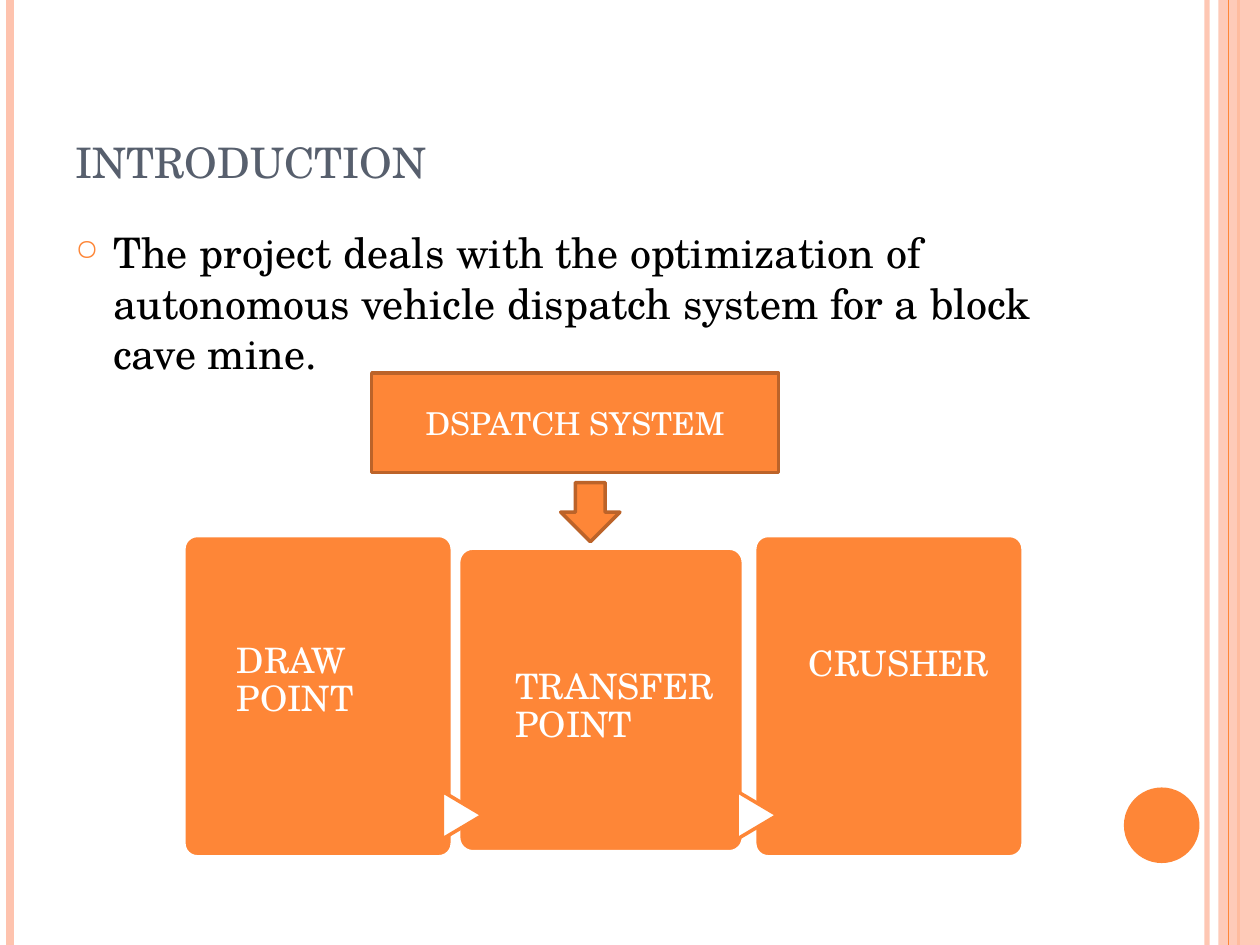
import pptx
import pptx.util
import pptx.dml.color
import pptx.enum.shapes
import pptx.enum.text
import pptx.oxml

Inches = pptx.util.Inches
Pt = pptx.util.Pt
SHAPES = pptx.enum.shapes.MSO_SHAPE
ANCHORS = pptx.enum.text.MSO_ANCHOR
ALIGNMENTS = pptx.enum.text.PP_ALIGN
NAMESPACE = 'xmlns:a="http://schemas.openxmlformats.org/drawingml/2006/main"'
FONT = "TeX Gyre Schola"
ORANGE, DARK_ORANGE, PEACH = "FE8637", "BC6329", "FEC3AE"
WHITE, BLACK, SLATE = "FFFFFF", "000000", "575F6D"


def color(value):
    return pptx.dml.color.RGBColor.from_string(value)


def element(markup):
    tag, separator, rest = markup.partition(" ")
    return pptx.oxml.parse_xml(f"<a:{tag} {NAMESPACE}{separator}{rest}/>")


def apply(target, values):
    for name, value in values.items():
        setattr(target, name, value)


def set_opacity(fill_parent, percent):
    for choice in fill_parent.iter("{*}srgbClr"):
        choice.append(element(f'alpha val="{percent * 1000}"'))


def add_shape(slide, kind, box, fill, line=None):
    shape = slide.shapes.add_shape(kind, *map(Inches, box))
    shape.shadow.inherit = False
    shape.fill.solid()
    shape.fill.fore_color.rgb = color(fill)
    if line:
        shape.line.color.rgb = color(line)
        shape.line.width = Pt(2)
    else:
        shape.line.fill.background()
    return shape


def add_rule(slide, x, height, line_color, width):
    rule = slide.shapes.add_connector(
        pptx.enum.shapes.MSO_CONNECTOR.STRAIGHT,
        Inches(x), 0, Inches(x), Inches(height))
    rule.line.color.rgb = color(line_color)
    rule.line.width = Pt(width)
    rule._element.spPr.append(element("effectLst"))
    return rule


def write(shape, text, size, text_color, frame_format=None, paragraph_format=None):
    frame = shape.text_frame
    apply(frame, {"word_wrap": True, **(frame_format or {})})
    paragraph = frame.paragraphs[0]
    run = paragraph.add_run()
    run.text = text
    apply(paragraph, paragraph_format or {})
    apply(run.font, {"name": FONT, "size": Pt(size)})
    run.font.color.rgb = color(text_color)
    return paragraph


def add_text(slide, box, *content):
    return write(slide.shapes.add_textbox(*map(Inches, box)), *content)


def add_frame(slide, box):
    left, top, width, height = box
    right = left + width
    outer_rule = add_rule(slide, right - 0.42, height, PEACH, 3)
    set_opacity(outer_rule._element.spPr, 93)
    add_rule(slide, left + 0.08, height, PEACH, 4.5)
    add_rule(slide, right - 0.17, height, ORANGE, 1.5)
    band = add_shape(slide, SHAPES.RECTANGLE, (right - 0.33, top, 0.33, height), PEACH)
    set_opacity(band._element.spPr, 87)
    add_rule(slide, right - 0.25, height, ORANGE, 0.75)
    add_shape(slide, SHAPES.OVAL, (right - 1.08, top + 6.25, 0.6, 0.6), ORANGE)


def add_title(slide, box):
    paragraph = add_text(slide, box, "introduction", 30, SLATE,
                         {"vertical_anchor": ANCHORS.BOTTOM})
    paragraph.runs[0].font._element.set("cap", "small")


def add_body(slide, box):
    paragraph = add_text(
        slide, box,
        "The project deals with the optimization of autonomous vehicle "
        "dispatch system for a block cave mine.", 24, BLACK)
    properties = paragraph._p.get_or_add_pPr()
    properties.set("marL", str(Inches(0.3)))
    properties.set("indent", str(-Inches(0.3)))
    bullet_color = element("buClr")
    bullet_color.append(element(f'srgbClr val="{ORANGE}"'))
    for item in (bullet_color, element('buSzPct val="70000"'),
                 element('buChar char="○"')):
        properties.append(item)


def add_dispatch(slide, box):
    left, top, width, height = box
    block = add_shape(slide, SHAPES.RECTANGLE, box, ORANGE, DARK_ORANGE)
    write(block, "DSPATCH SYSTEM", 18, WHITE,
          {"vertical_anchor": ANCHORS.MIDDLE}, {"alignment": ALIGNMENTS.CENTER})
    add_shape(slide, SHAPES.DOWN_ARROW, (left + 1.5, top + 0.87, 0.47, 0.47),
              ORANGE, DARK_ORANGE)


def add_stage(slide, box, label, text_left, text_width, text_inset):
    left, top, width, height = box
    card = add_shape(slide, SHAPES.ROUNDED_RECTANGLE, box, ORANGE, WHITE)
    card.adjustments[0] = 0.05
    add_text(slide, (left + text_left, top, text_width, height), label, 20, WHITE,
             {"margin_left": 0, "margin_right": 0, "margin_bottom": 0,
              "margin_top": Inches(text_inset)},
             {"line_spacing": 0.9})


def add_process(slide, box):
    left, top, width, height = box
    side_width = 2.13
    add_stage(slide, (left, top, side_width, height), "DRAW POINT", 0.42, 1.59, 1.11)
    add_stage(slide, (left + 2.18, top + 0.1, 2.26, 2.41),
              "TRANSFER POINT", 0.45, 1.68, 1.32)
    add_stage(slide, (left + width - side_width, top, side_width, height),
              "CRUSHER", 0.43, 1.59, 1.45)
    for offset in (2.02, 4.36):
        pointer = add_shape(slide, SHAPES.FLOWCHART_EXTRACT,
                            (left + offset, top + 2.06, 0.38, 0.32), WHITE, ORANGE)
        pointer.rotation = 90


def main():
    presentation = pptx.Presentation()
    apply(presentation, {"slide_width": Inches(10), "slide_height": Inches(7.5)})
    slide = presentation.slides.add_slide(presentation.slide_layouts[6])
    add_frame(slide, (0, 0, 10, 7.5))
    add_title(slide, (0.5, 0.3, 8.17, 1.25))
    add_body(slide, (0.5, 1.75, 8.17, 5.33))
    add_process(slide, (1.46, 4.25, 6.66, 2.55))
    add_dispatch(slide, (2.95, 2.96, 3.23, 0.79))
    presentation.save("out.pptx")


if __name__ == "__main__":
    main()
